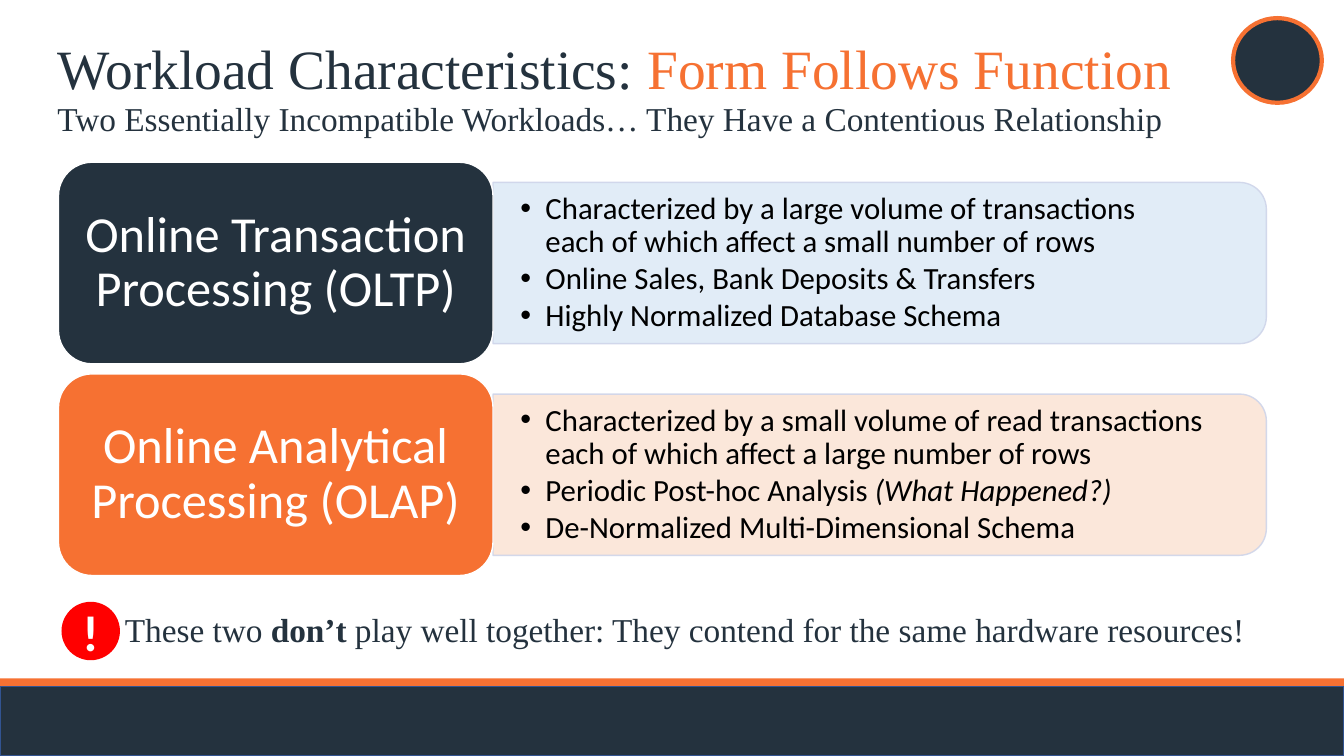
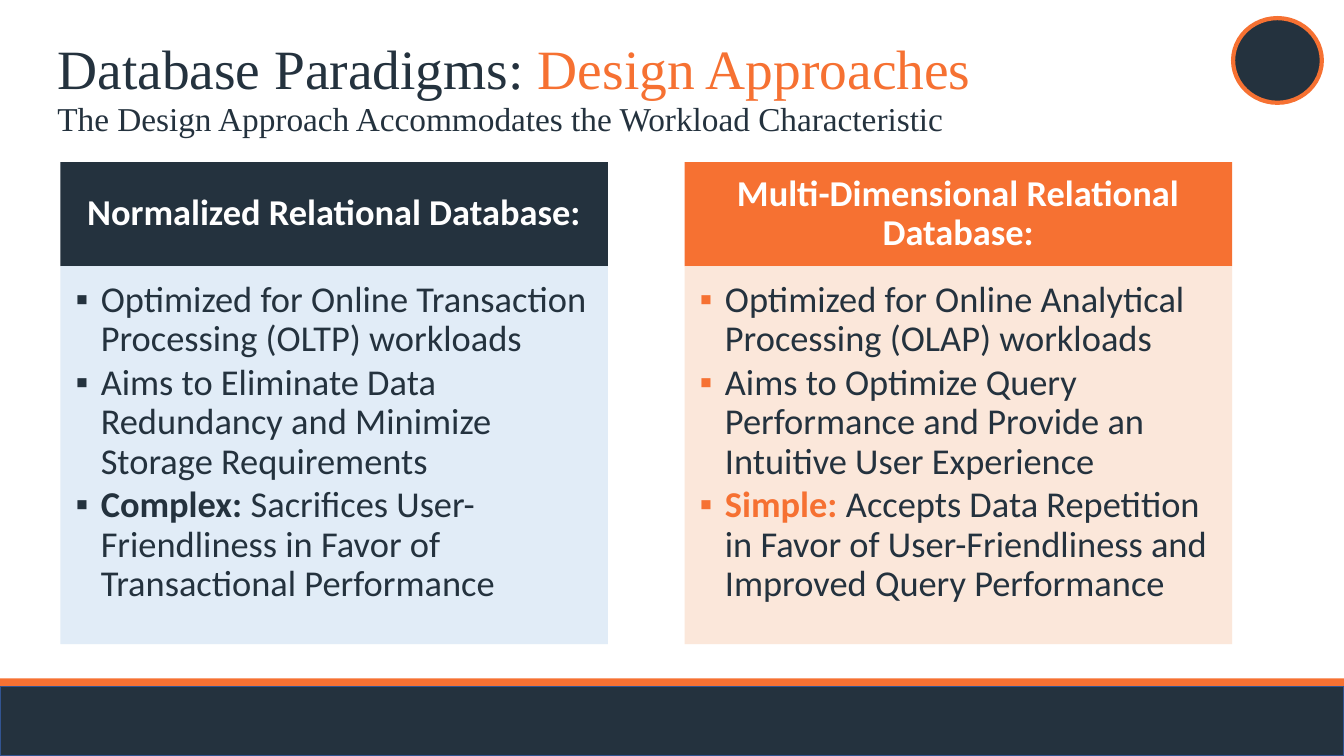
import pptx
import pptx.util
import pptx.dml.color
import pptx.enum.shapes
import pptx.enum.text
import pptx.oxml
from lxml import etree
from pptx.oxml.ns import qn

Inches = pptx.util.Inches
SHAPE = pptx.enum.shapes.MSO_SHAPE
ALIGN = pptx.enum.text.PP_ALIGN
ANCHOR = pptx.enum.text.MSO_ANCHOR

NAVY, ORANGE, WHITE, BLACK = "24323E", "F67132", "FFFFFF", "000000"
PALE_BLUE, PALE_ORANGE, RED = "DEEBF7", "FBE5D6", "FF0000"
BAND_EDGE, PANEL_EDGE = "325491", "CFD5EA"
SERIF, SANS = "Times New Roman", "Calibri"

# A paragraph is a list of (text, style) runs; the style holds only overrides.
PLAIN, BOLD, ITALIC = {}, {"bold": True}, {"italic": True}
BOLD_ORANGE = {"bold": True, "color": ORANGE}

WORKLOADS = {
    "title": ("Workload Characteristics: ", "Form Follows Function"),
    "subtitle": "Two Essentially Incompatible Workloads… They Have a Contentious Relationship",
    "rows": [
        ("Online Transaction Processing (OLTP)", NAVY, PALE_BLUE, [
            [("Characterized by a large volume of transactions \n"
              "each of which affect a small number of rows", PLAIN)],
            [("Online Sales, Bank Deposits & Transfers", PLAIN)],
            [("Highly Normalized Database Schema", PLAIN)],
        ]),
        ("Online Analytical Processing (OLAP)", ORANGE, PALE_ORANGE, [
            [("Characterized by a small volume of read transactions "
              "each of which affect a large number of rows", PLAIN)],
            [("Periodic Post-hoc Analysis ", PLAIN), ("(What Happened?) ", ITALIC)],
            [("De-Normalized Multi-Dimensional Schema", PLAIN)],
        ]),
    ],
    "warning": [("These two ", PLAIN), ("don’t", BOLD),
                (" play well together: They contend for the same hardware resources!", PLAIN)],
}

PARADIGMS = {
    "title": ("Database Paradigms: ", "Design Approaches"),
    "subtitle": "The Design Approach Accommodates the Workload Characteristic",
    "columns": [
        ("Normalized Relational Database:", NAVY, PALE_BLUE, [
            [("Optimized for Online Transaction Processing (OLTP) workloads", PLAIN)],
            [("Aims to Eliminate Data Redundancy and Minimize Storage Requirements", PLAIN)],
            [("Complex: ", BOLD),
             ("Sacrifices User-Friendliness in Favor of Transactional Performance", PLAIN)],
        ]),
        ("Multi-Dimensional Relational Database:", ORANGE, PALE_ORANGE, [
            [("Optimized for Online Analytical Processing (OLAP) workloads", PLAIN)],
            [("Aims to Optimize Query Performance and Provide an Intuitive User Experience", PLAIN)],
            [("Simple:", BOLD_ORANGE),
             (" Accepts Data Repetition in Favor of User-Friendliness and "
              "Improved Query Performance", PLAIN)],
        ]),
    ],
}

SLIDE_WIDTH, SLIDE_HEIGHT = 13.33, 7.5
TEXT_LEFT = 0.47
CONTENT_TOP = 1.61


def rgb(color):
    """Turn a hex string into a colour."""
    return pptx.dml.color.RGBColor.from_string(color)


def add_block(slide, kind, box, fill, edge=None, edge_width=1, alpha=None):
    """Add a filled preset shape, optionally outlined or partly transparent."""
    block = slide.shapes.add_shape(kind, *map(Inches, box))
    block.shadow.inherit = False
    block.fill.solid()
    block.fill.fore_color.rgb = rgb(fill)
    if edge:
        block.line.color.rgb = rgb(edge)
        block.line.width = pptx.util.Pt(edge_width)
    else:
        block.line.fill.background()
    if alpha:
        for color in block._element.spPr.iter(qn("a:srgbClr")):
            etree.SubElement(color, qn("a:alpha"), val=str(alpha * 1000))
    return block


def add_bullet(paragraph, mark, color):
    """Give a paragraph a hanging bullet."""
    properties = paragraph._p.get_or_add_pPr()
    indent = Inches(0.25)
    properties.set("marL", str(indent))
    properties.set("indent", str(-indent))
    bullet_color = etree.SubElement(properties, qn("a:buClr"))
    etree.SubElement(bullet_color, qn("a:srgbClr"), val=color)
    etree.SubElement(properties, qn("a:buFont"), typeface="Arial")
    etree.SubElement(properties, qn("a:buChar"), char=mark)


def add_runs(paragraph, runs):
    """Add styled runs, breaking the line at each newline."""
    for text, style in runs:
        for number, line in enumerate(text.split("\n")):
            if number:
                paragraph.add_line_break()
            run = paragraph.add_run()
            run.text = line
            if "bold" in style:
                run.font.bold = True
            if "italic" in style:
                run.font.italic = True
            if "color" in style:
                run.font.color.rgb = rgb(style["color"])


def write(shape, paragraphs, size, color, font=SANS, bold=False, align=ALIGN.LEFT,
          anchor=ANCHOR.MIDDLE, insets=(0.1, 0.05, 0.1, 0.05), spacing=0.9,
          before=0, bullet=None):
    """Fill a shape with paragraphs; bullet is a (mark, colour) pair."""
    frame = shape.text_frame
    frame.word_wrap = True
    frame.auto_size = pptx.enum.text.MSO_AUTO_SIZE.NONE
    frame.vertical_anchor = anchor
    (frame.margin_left, frame.margin_top,
     frame.margin_right, frame.margin_bottom) = map(Inches, insets)
    for number, runs in enumerate(paragraphs):
        paragraph = frame.add_paragraph() if number else frame.paragraphs[0]
        paragraph.alignment = align
        paragraph.line_spacing = spacing
        paragraph.space_before = pptx.util.Pt(before)
        if bullet:
            paragraph.space_after = pptx.util.Pt(size * 0.12)
            add_bullet(paragraph, *bullet)
        paragraph.font.name = font
        paragraph.font.size = pptx.util.Pt(size)
        paragraph.font.bold = bold
        paragraph.font.color.rgb = rgb(color)
        add_runs(paragraph, runs)


def add_text(slide, box, paragraphs, size, color, **options):
    """Add a text box."""
    write(slide.shapes.add_textbox(*map(Inches, box)), paragraphs, size, color, **options)


def add_statement(slide, box, runs):
    """Add one tight serif line, as used under the title and at the foot."""
    add_text(slide, box, [runs], 23.8, NAVY, font=SERIF, anchor=ANCHOR.TOP,
             spacing=0.7, before=10)


def start_slide(deck, content):
    """Add a slide with the shared bands, badge, title and subtitle."""
    slide = deck.slides.add_slide(deck.slide_layouts[5])
    add_block(slide, SHAPE.RECTANGLE, (0, 6.73, SLIDE_WIDTH, 0.28), ORANGE)
    add_block(slide, SHAPE.RECTANGLE, (0, 6.81, SLIDE_WIDTH, 0.69), NAVY, BAND_EDGE)
    add_block(slide, SHAPE.OVAL, (12.23, 0.18, 0.88, 0.84), NAVY, ORANGE, 3)
    title = slide.shapes.title
    title.left, title.top, title.width, title.height = map(
        Inches, (TEXT_LEFT, 0.4, 11.44, 0.62))
    topic, angle = content["title"]
    write(title, [[(topic, PLAIN), (angle, {"color": ORANGE})]], 39.6, NAVY, font=SERIF)
    add_statement(slide, (TEXT_LEFT, 1.03, 11.63, 0.4), [(content["subtitle"], PLAIN)])
    return slide


def build_workloads(deck):
    """Build the two labelled rows and the warning."""
    slide = start_slide(deck, WORKLOADS)
    label_left, label_width, label_height, row_pitch = 0.58, 4.31, 2, 2.1
    panel_left, panel_width, panel_height = label_left + label_width, 7.67, 1.6
    for number, (label, strong, pale, points) in enumerate(WORKLOADS["rows"]):
        top = CONTENT_TOP + number * row_pitch
        middle = top + label_height / 2
        # The panel stands upright before its quarter turn about its centre.
        panel = add_block(
            slide, SHAPE.ROUND_2_SAME_RECTANGLE,
            (panel_left + (panel_width - panel_height) / 2, middle - panel_width / 2,
             panel_height, panel_width), pale, PANEL_EDGE, alpha=90)
        panel.rotation = 90
        add_text(slide, (panel_left, middle - 0.72, 7.59, 1.44), points, 22, BLACK,
                 insets=(0.27, 0.14, 0.27, 0.14), bullet=("•", BLACK))
        heading = add_block(slide, SHAPE.ROUNDED_RECTANGLE,
                            (label_left, top, label_width, label_height), strong, WHITE)
        write(heading, [[(label, PLAIN)]], 36, WHITE, align=ALIGN.CENTER,
              insets=(0.15, 0.07, 0.15, 0.07))
    add_statement(slide, (1.14, 6.1, 11.6, 0.4), WORKLOADS["warning"])
    alert = add_block(slide, SHAPE.OVAL, (0.61, 5.97, 0.58, 0.58), RED)
    write(alert, [[("!", PLAIN)]], 36, WHITE, bold=True, align=ALIGN.CENTER,
          insets=(0, 0, 0, 0), spacing=1.0)


def build_paradigms(deck):
    """Build the two headed columns."""
    slide = start_slide(deck, PARADIGMS)
    first_left, column_pitch, width = 0.6, 6.19, 5.43
    heading_height, body_height = 1.03, 3.75
    for number, (label, strong, pale, points) in enumerate(PARADIGMS["columns"]):
        left = first_left + number * column_pitch
        heading = add_block(slide, SHAPE.RECTANGLE,
                            (left, CONTENT_TOP, width, heading_height), strong)
        write(heading, [[(label, PLAIN)]], 26, WHITE, bold=True, align=ALIGN.CENTER,
              insets=(0.2, 0.12, 0.2, 0.12))
        body = add_block(slide, SHAPE.RECTANGLE,
                         (left, CONTENT_TOP + heading_height, width, body_height),
                         pale, alpha=90)
        write(body, points, 26, NAVY, anchor=ANCHOR.TOP,
              insets=(0.15, 0.15, 0.2, 0.23), bullet=("▪", strong))


def main():
    """Build and save the deck."""
    deck = pptx.Presentation()
    deck.slide_width, deck.slide_height = Inches(SLIDE_WIDTH), Inches(SLIDE_HEIGHT)
    build_workloads(deck)
    build_paradigms(deck)
    deck.save("out.pptx")


main()
